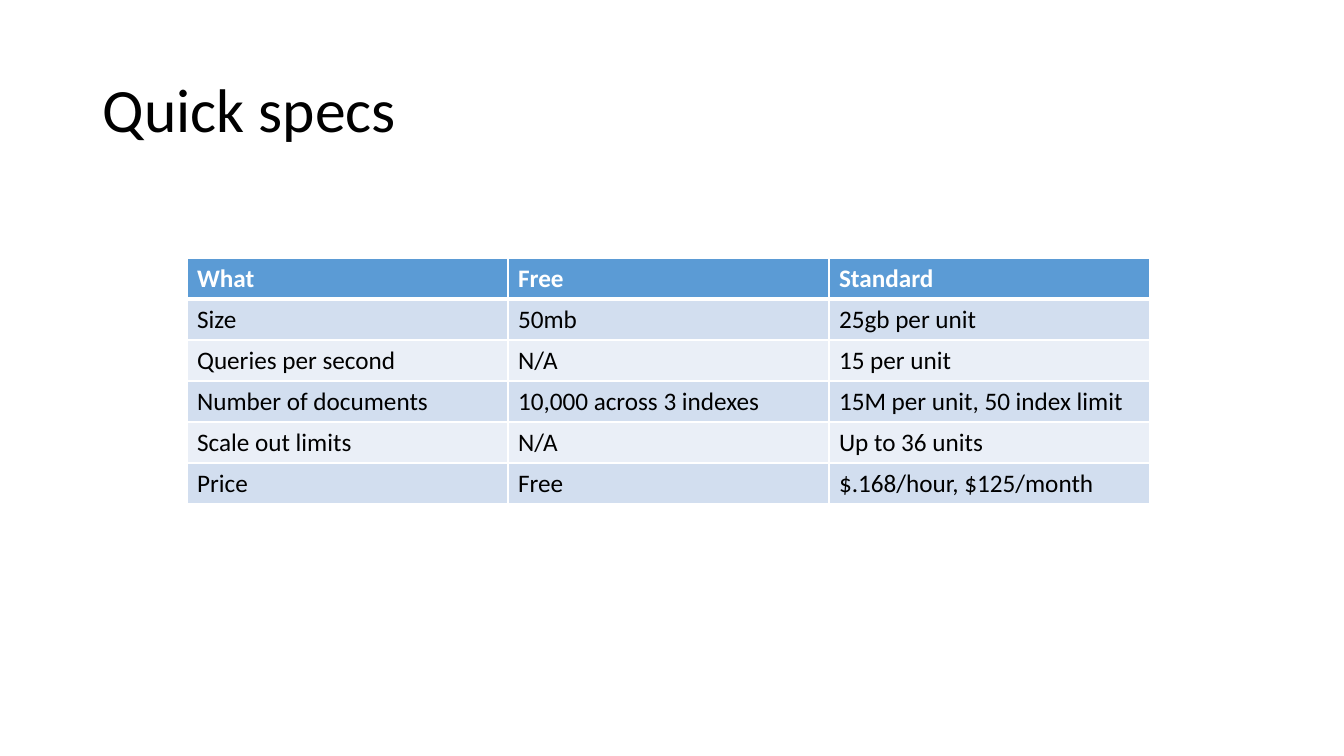
from lxml import etree
from pptx import Presentation, util as u
from pptx.dml.color import RGBColor
from pptx.enum import text
from pptx.oxml import ns

SCALE = 914400 / 100.8
FONT = "Calibri"
COLOURS = {
    "ink": "000000",
    "white": "FFFFFF",
    "header": "5B9BD5",
    "odd": "D2DEEF",
    "even": "EAEFF7",
}
SPECS = [
    ("What", "Free", "Standard"),
    ("Size", "50mb", "25gb per unit"),
    ("Queries per second", "N/A", "15 per unit"),
    ("Number of documents", "10,000 across 3 indexes", "15M per unit, 50 index limit"),
    ("Scale out limits", "N/A", "Up to 36 units"),
    ("Price", "Free", "$.168/hour, $125/month"),
]


def px(length):
    """Turn whole pixels into EMU."""
    return u.Emu(round(length * SCALE))


def colour(name):
    """Look up a named colour."""
    return RGBColor.from_string(COLOURS[name])


def style_text(frame, size, ink, bold=False):
    """Format every run of a text frame."""
    for para in frame.paragraphs:
        for span in para.runs:
            span.font.name = FONT
            span.font.size = u.Pt(size)
            span.font.bold = bold
            span.font.color.rgb = colour(ink)


def add_title(page, words, left, top, width, height):
    """Add the slide title, centred vertically in its box."""
    box = page.shapes.add_textbox(px(left), px(top), px(width), px(height))
    frame = box.text_frame
    frame.word_wrap = True
    frame.vertical_anchor = text.MSO_ANCHOR.MIDDLE
    frame.text = words
    frame.paragraphs[0].line_spacing = 0.9
    style_text(frame, 44, "ink")


def set_borders(cell, widths):
    """Draw white cell borders; widths in points are keyed by side."""
    properties = cell._tc.get_or_add_tcPr()
    for side, width in widths.items():
        line = etree.SubElement(properties, ns.qn(f"a:ln{side}"), w=str(u.Pt(width)))
        fill = etree.SubElement(line, ns.qn("a:solidFill"))
        etree.SubElement(fill, ns.qn("a:srgbClr"), val=COLOURS["white"])


def add_spec_table(page, rows, left, top, column_width, row_height):
    """Add a banded table with a header row and a thick rule below it."""
    width, height = column_width * len(rows[0]), row_height * len(rows)
    table = page.shapes.add_table(
        len(rows), len(rows[0]), px(left), px(top), px(width), px(height)
    ).table
    for column in table.columns:
        column.width = px(column_width)
    for r, values in enumerate(rows):
        table.rows[r].height = px(row_height)
        is_header = r == 0
        band = "header" if is_header else "odd" if r % 2 else "even"
        borders = {"L": 1, "R": 1, "T": 3 if r == 1 else 1, "B": 3 if is_header else 1}
        for c, words in enumerate(values):
            cell = table.cell(r, c)
            cell.text_frame.text = words
            style_text(cell.text_frame, 18, "white" if is_header else "ink", is_header)
            set_borders(cell, borders)
            cell.fill.solid()
            cell.fill.fore_color.rgb = colour(band)


def main():
    """Build the quick specs slide."""
    deck = Presentation()
    deck.slide_width, deck.slide_height = px(1344), px(756)
    page = deck.slides.add_slide(deck.slide_layouts[6])
    add_title(page, "Quick specs", 93, 40, 1159, 146)
    add_spec_table(page, SPECS, 187, 258, 321, 41)
    deck.save("out.pptx")


main()
